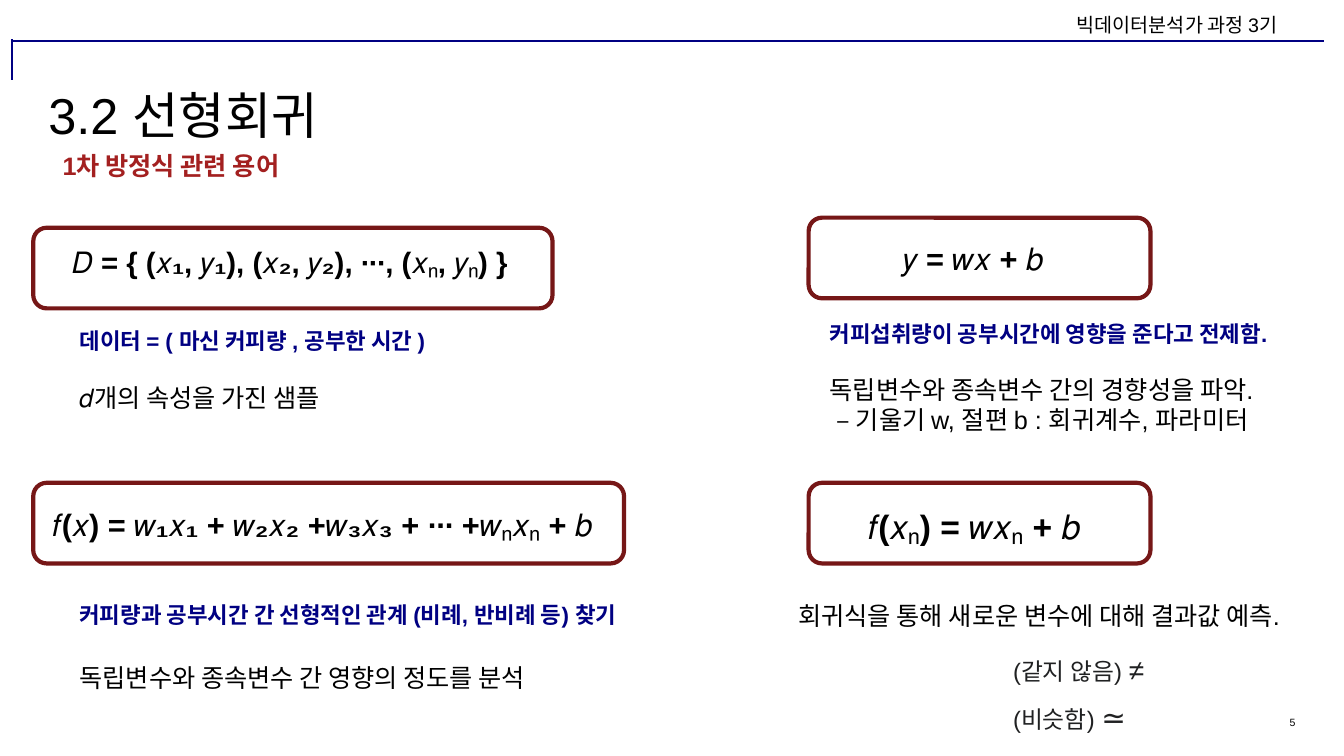
from dataclasses import dataclass

from lxml.etree import SubElement
from pptx import Presentation
from pptx.dml.color import RGBColor
from pptx.enum.shapes import MSO_CONNECTOR, MSO_SHAPE
from pptx.enum.text import MSO_ANCHOR, MSO_AUTO_SIZE, PP_ALIGN
from pptx.oxml.ns import qn
from pptx.util import Inches, Pt


@dataclass(frozen=True)
class Theme:
    font: str = "Arial"
    black: RGBColor = RGBColor(0x00, 0x00, 0x00)
    navy: RGBColor = RGBColor(0x00, 0x00, 0x82)
    red: RGBColor = RGBColor(0xA3, 0x20, 0x20)
    maroon: RGBColor = RGBColor(0x76, 0x17, 0x17)
    gray: RGBColor = RGBColor(0x20, 0x21, 0x22)
    title: float = 36
    formula: float = 22
    body: float = 18
    symbol_label: float = 17
    premise: float = 16
    header: float = 14
    page_number: float = 7.5


theme = Theme()


def style_font(font, size, color, bold=False):
    font.name = theme.font
    font.size = Pt(size)
    font.color.rgb = color
    font.bold = bold


def add_text(box, lines, size, color=theme.black, bold=False, inset=0.1):
    """Add a wrapped text box at box (left, top, width, height) and return its frame."""
    frame = slide.shapes.add_textbox(*map(Inches, box)).text_frame
    frame.word_wrap = True
    frame.margin_left = frame.margin_right = Inches(inset)
    frame.margin_top = frame.margin_bottom = Inches(inset)
    frame.text = "\n".join(lines)
    for paragraph in frame.paragraphs:
        style_font(paragraph.font, size, color, bold)
    return frame


presentation = Presentation()
presentation.slide_width = Inches(13.33)
presentation.slide_height = Inches(7.5)
slide = presentation.slides.add_slide(presentation.slide_layouts[5])

# Header rule, course name and page number
for start_x, start_y, end_x, end_y in [(0.12, 0.41, 13.13, 0.41), (0.12, 0.39, 0.12, 0.79)]:
    rule = slide.shapes.add_connector(
        MSO_CONNECTOR.STRAIGHT, Inches(start_x), Inches(start_y), Inches(end_x), Inches(end_y))
    rule.line.color.rgb = theme.navy
    rule.line.width = Pt(1.5)
    SubElement(rule._element.spPr, qn("a:effectLst"))

course = add_text((10.58, 0.12, 2.64, 0.29), ["빅데이터분석가 과정 3기"], theme.header)
course.margin_top = course.margin_bottom = Inches(0.05)
course.paragraphs[0].line_spacing = 0.8

page = add_text((10.92, 7.1, 1.93, 0.13), ["5"], theme.page_number, inset=0)
page.vertical_anchor = MSO_ANCHOR.BOTTOM
page.paragraphs[0].alignment = PP_ALIGN.RIGHT

# Title and subtitle
title = slide.shapes.title
title.left, title.top, title.width, title.height = map(Inches, (0.48, 0.51, 12.36, 0.92))
title_frame = title.text_frame
title_frame.text = "3.2 선형회귀"
title_frame.auto_size = MSO_AUTO_SIZE.NONE
title_frame.vertical_anchor = MSO_ANCHOR.BOTTOM
title_frame.margin_left = title_frame.margin_right = 0
title_frame.margin_top = title_frame.margin_bottom = 0
title_frame.paragraphs[0].alignment = PP_ALIGN.LEFT
style_font(title_frame.paragraphs[0].font, theme.title, theme.black)

add_text((0.62, 1.49, 12.22, 0.35), ["1차 방정식 관련 용어"], theme.body, theme.red, True, inset=0)

# Formulas: frame left, top, width; text left, top, width; text; size
formulas = [
    (0.33, 2.26, 5.15, 0.62, 2.32, 4.72, "𝐷 = { (𝑥₁, 𝑦₁), (𝑥₂, 𝑦₂), ∙∙∙, (𝑥ₙ, 𝑦ₙ) }", theme.formula - 1),
    (8.02, 2.16, 3.39, 8.86, 2.28, 1.72, "𝑦 = 𝑤𝑥 + 𝑏", theme.formula),
    (0.33, 4.79, 5.86, 0.42, 4.92, 6.44, "𝑓(𝑥) = 𝑤₁𝑥₁ + 𝑤₂𝑥₂ +𝑤₃𝑥₃ + ∙∙∙ +𝑤ₙ𝑥ₙ + 𝑏", theme.formula),
    (8.02, 4.79, 3.39, 8.51, 4.92, 2.42, "𝑓(𝑥ₙ) = 𝑤𝑥ₙ + 𝑏", theme.formula + 2),
]
for left, top, width, text_left, text_top, text_width, formula, size in formulas:
    outline = slide.shapes.add_shape(
        MSO_SHAPE.ROUNDED_RECTANGLE, Inches(left), Inches(top), Inches(width), Inches(0.8))
    outline.shadow.inherit = False
    outline.fill.background()
    outline.line.color.rgb = theme.maroon
    outline.line.width = Pt(3)
    add_text((text_left, text_top, text_width, 0.67), [formula], size, bold=True)

# Premises under the formulas
premises = [
    ((0.69, 3.15, 4.12, 0.46), "데이터 = ( 마신 커피량 , 공부한 시간 )"),
    ((8.13, 3.08, 5.35, 0.46), "커피섭취량이 공부시간에 영향을 준다고 전제함."),
    ((0.69, 5.86, 6.2, 0.53), "커피량과 공부시간 간 선형적인 관계 (비례, 반비례 등) 찾기"),
]
for box, premise in premises:
    add_text(box, [premise], theme.premise, theme.navy, True)

# Explanations
explanations = [
    ((0.69, 3.69, 5.5, 0.46), ["𝑑개의 속성을 가진 샘플"]),
    ((0.69, 6.47, 5.15, 0.92), ["독립변수와 종속변수 간 영향의 정도를 분석"]),
    ((7.82, 5.86, 5.75, 0.53), ["회귀식을 통해 새로운 변수에 대해 결과값 예측."]),
    ((8.13, 3.61, 4.85, 0.66),
     ["독립변수와 종속변수 간의 경향성을 파악.", "– 기울기 w, 절편 b : 회귀계수, 파라미터"]),
]
for box, lines in explanations:
    frame = add_text(box, lines, theme.body)
    for detail in frame.paragraphs[1:]:
        detail._p.get_or_add_pPr().set("marL", str(Inches(0.07)))

# Symbol legend
for top, label, symbol, size in [(6.37, "(같지 않음) ", "≠", 20), (6.84, "(비슷함) ", "≃", 21)]:
    legend = add_text((9.95, top, 3.1, 0.53), [label], theme.symbol_label, theme.gray)
    run = legend.paragraphs[0].add_run()
    run.text = symbol
    style_font(run.font, size, theme.gray)

presentation.save("out.pptx")
